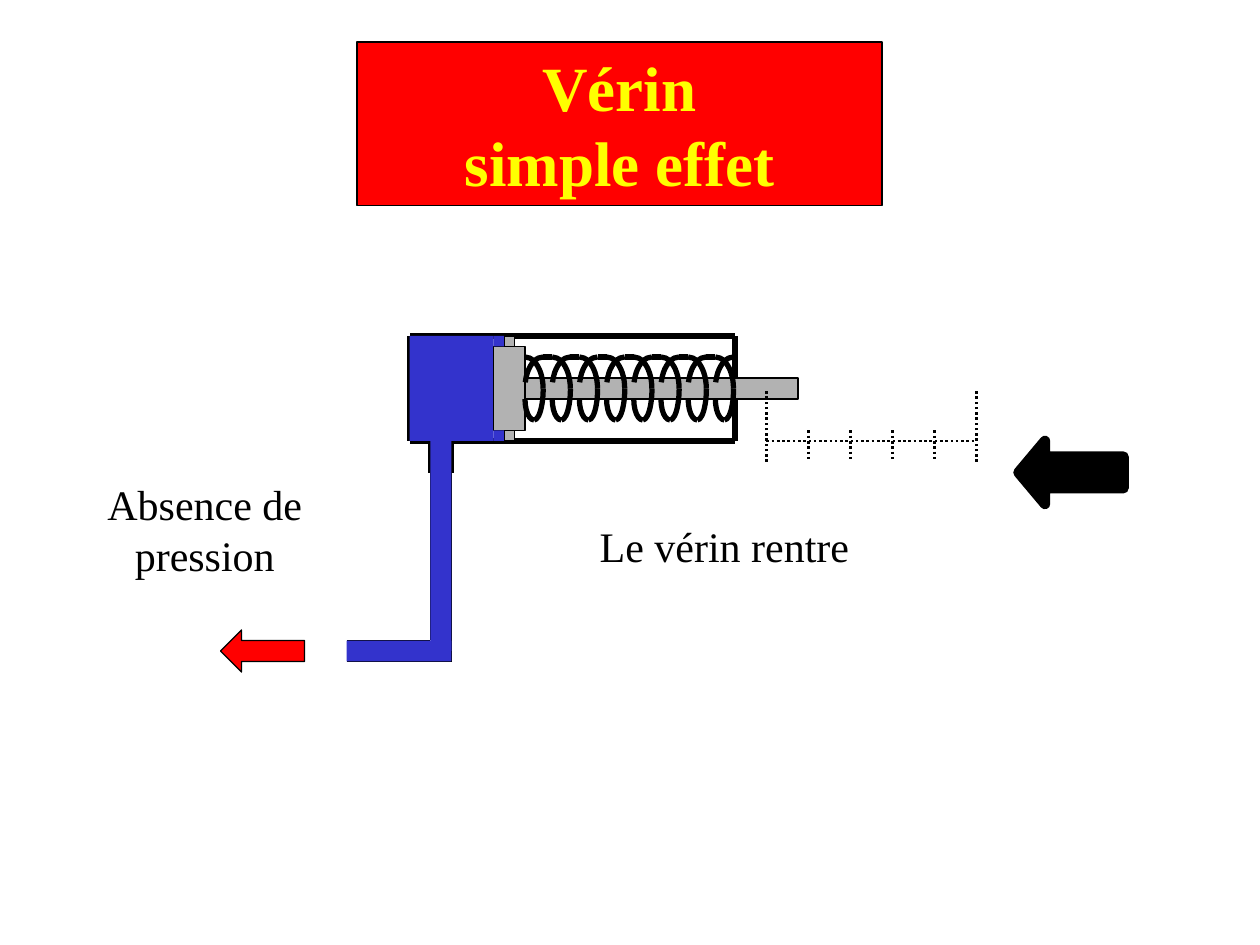
"""Build a slide showing a single-acting cylinder as it retracts."""
from lxml import etree
from pptx import Presentation
from pptx.dml.color import RGBColor
from pptx.enum.dml import MSO_LINE
from pptx.enum.shapes import MSO_CONNECTOR, MSO_SHAPE
from pptx.enum.text import MSO_ANCHOR, MSO_AUTO_SIZE, PP_ALIGN
from pptx.oxml.ns import qn
from pptx.util import Pt

RECTANGLE = MSO_SHAPE.RECTANGLE
ARC = MSO_SHAPE.ARC
LEFT_ARROW = MSO_SHAPE.LEFT_ARROW
STRAIGHT = MSO_CONNECTOR.STRAIGHT
DOTTED = MSO_LINE.ROUND_DOT
CENTER = PP_ALIGN.CENTER
TOP = MSO_ANCHOR.TOP
NO_AUTOFIT = MSO_AUTO_SIZE.NONE

BLACK = RGBColor(0x00, 0x00, 0x00)
RED = RGBColor(0xFF, 0x00, 0x00)
YELLOW = RGBColor(0xFF, 0xFF, 0x00)
BLUE = RGBColor(0x33, 0x33, 0xCC)
GRAY = RGBColor(0xB2, 0xB2, 0xB2)
FONT = "Times New Roman"


def style(part, width=0, fill=None, dash=None):
    if width:
        part.line.color.rgb = BLACK
        part.line.width = Pt(width)
    else:
        part.line.fill.background()
    if dash:
        part.line.dash_style = dash
    if not hasattr(part, "fill"):
        etree.SubElement(part._element.spPr, qn("a:effectLst"))
        return
    part.shadow.inherit = False
    if fill is None:
        part.fill.background()
    else:
        part.fill.solid()
        part.fill.fore_color.rgb = fill


def write(holder, text, size=24, color=BLACK, bold=False):
    frame = holder.text_frame
    frame.word_wrap = True
    frame.auto_size = NO_AUTOFIT
    frame.vertical_anchor = TOP
    frame.text = text
    paragraph = frame.paragraphs[0]
    paragraph.alignment = CENTER
    paragraph.line_spacing = Pt(size * 1.2)
    for run in paragraph.runs:
        run.font.name = FONT
        run.font.size = Pt(size)
        run.font.bold = bold
        run.font.color.rgb = color


prs = Presentation()
prs.slide_width = Pt(720)
prs.slide_height = Pt(540)
slide = prs.slides.add_slide(prs.slide_layouts[5])
shapes = slide.shapes

title = shapes.title
title.left, title.top, title.width, title.height = Pt(204), Pt(24), Pt(300), Pt(93.6)
title.line.color.rgb = BLACK
title.line.width = Pt(0.75)
title.fill.solid()
title.fill.fore_color.rgb = RED
write(title, "Vérin\vsimple effet", size=36, color=YELLOW, bold=True)

cylinder_and_pipe = [
    (258, 252, 420, 252, 3),
    (258, 252, 258, 270, 3),
    (246, 252, 246, 270, 3),
    (420, 192, 234, 192, 3),
    (234, 192, 234, 252, 3),
    (234, 252, 246, 252, 3),
    (420, 252, 420, 192, 3),
    (246, 270, 246, 366, 0.75),
    (258, 270, 258, 378, 0.75),
    (246, 366, 198, 366, 0.75),
    (258, 378, 198, 378, 0.75),
]
for *ends, width in cylinder_and_pipe:
    wall = shapes.add_connector(STRAIGHT, *map(Pt, ends))
    style(wall, width)

for box in [(198, 366, 60, 12), (246, 252, 12, 120), (234, 192, 48, 60)]:
    fluid = shapes.add_shape(RECTANGLE, *map(Pt, box))
    style(fluid, fill=BLUE)

piston = shapes.add_group_shape().shapes
piston_parts = [
    (282, 198, 18, 48, GRAY, 0.75),
    (288, 192, 6, 6, GRAY, 0.75),
    (288, 246, 6, 6, GRAY, 0.75),
    (300, 216, 156, 12, GRAY, 0.75),
    (282, 246, 6, 6, BLUE, 0),
    (282, 192, 6, 6, BLUE, 0),
]
for *box, color, width in piston_parts:
    piston_part = piston.add_shape(RECTANGLE, *map(Pt, box))
    style(piston_part, width, color)

spring = shapes.add_group_shape().shapes
coil_count, coil_pitch, coil_width = 8, 15.54, 10.4
coil_arcs = [
    (-coil_width, 204, 2 * coil_width, 36, 270, 0),
    (0, 204, coil_width, 36, 0, 90),
    (0, 216, coil_width, 24, 90, 180),
    (0, 204, 2 * coil_width, 36, 199, 270),
]
for coil in range(coil_count):
    coil_left = 300 + coil * coil_pitch
    for offset, top, width, height, start, end in coil_arcs:
        arc = spring.add_shape(ARC, Pt(coil_left + offset), Pt(top), Pt(width), Pt(height))
        arc.adjustments[0] = start * 0.6
        arc.adjustments[1] = end * 0.6
        style(arc, 3)
    if coil < coil_count - 1:
        link = spring.add_connector(
            STRAIGHT, Pt(coil_left + coil_width), Pt(204), Pt(coil_left + coil_pitch), Pt(204))
        style(link, 3)

scale = [(438, 252, 558, 252), (558, 264, 558, 222), (438, 264, 438, 222)]
scale += [(x, 246, x, 264) for x in range(462, 558, 24)]
for ends in scale:
    scale_line = shapes.add_connector(STRAIGHT, *map(Pt, ends))
    style(scale_line, 1.5, dash=DOTTED)

arrows = [
    (126, 360, 48, 24, RED, 0.75, 0.5),
    (582, 252, 60, 36, BLACK, 6, 0.417),
]
for *box, color, width, head_length in arrows:
    arrow = shapes.add_shape(LEFT_ARROW, *map(Pt, box))
    arrow.adjustments[1] = round(head_length, 2)
    style(arrow, width, color)

captions = [
    (54, 270, 126, 64.8, "Absence de pression"),
    (288, 294, 252, 36, "Le vérin rentre"),
]
for *box, text in captions:
    caption = shapes.add_textbox(*map(Pt, box))
    write(caption, text)

prs.save("out.pptx")
